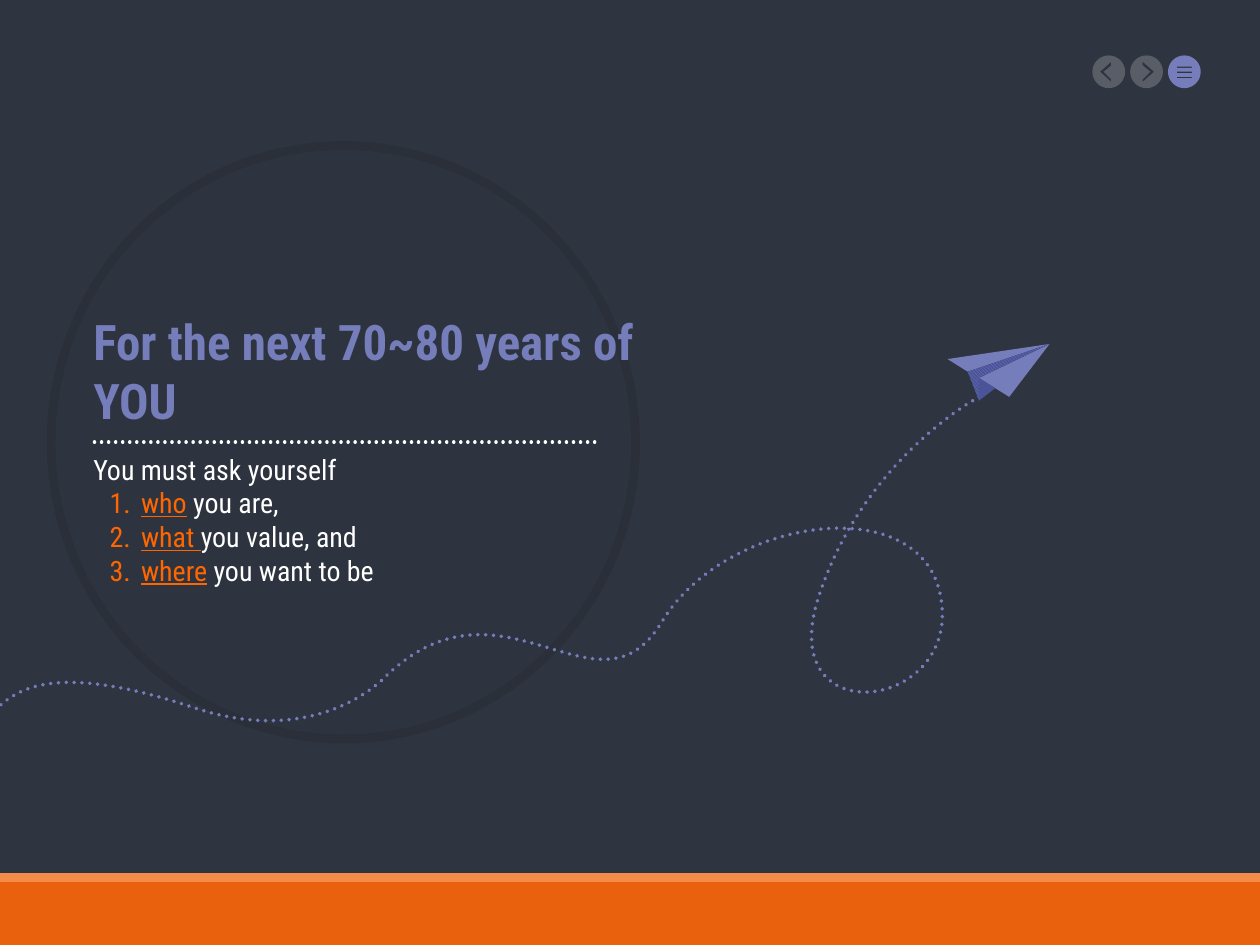
from dataclasses import dataclass
from typing import Any

from lxml.etree import SubElement
from pptx import Presentation
from pptx.dml.color import RGBColor as RGB
from pptx.enum.dml import MSO_LINE, MSO_PATTERN
from pptx.enum.shapes import MSO_CONNECTOR, MSO_SHAPE
from pptx.enum.text import MSO_ANCHOR, MSO_AUTO_SIZE, PP_ALIGN
from pptx.oxml.ns import qn
from pptx.util import Inches, Pt

Point = tuple[float, float]


@dataclass(frozen=True)
class Theme:
    font: str = "Roboto Condensed"
    back: RGB = RGB.from_string("2F3540")
    violet: RGB = RGB.from_string("757DBB")
    indigo: RGB = RGB.from_string("4B5499")
    white: RGB = RGB.from_string("FFFFFF")
    accent: RGB = RGB.from_string("FF6600")
    bar: RGB = RGB.from_string("E9610D")
    stripe: RGB = RGB.from_string("F58B49")
    title_size: Pt = Pt(28)
    body_size: Pt = Pt(16)


@dataclass(frozen=True)
class Contour:
    """A curved contour has a start, then three knots per cubic curve."""
    points: list[Point]
    curved: bool = False


@dataclass(frozen=True)
class NavButton:
    left: float
    color: RGB
    opacity: int
    icon: list[Contour]


@dataclass(frozen=True)
class Item:
    keyword: str
    rest: str


T = Theme()


def set_attrs(target: Any, values: dict[str, Any]) -> None:
    for name, value in values.items():
        setattr(target, name, value)


def paint(sp: Any, color: RGB, opacity: int = 100) -> None:
    """Plain fill without outline or shadow."""
    sp.shadow.inherit = False
    sp.line.fill.background()
    sp.fill.solid()
    sp.fill.fore_color.rgb = color
    if opacity < 100:
        clr = sp._element.spPr.find(qn("a:solidFill"))[0]
        SubElement(clr, qn("a:alpha"), val=str(opacity * 1000))


def dot_line(line: Any, color: RGB, width: float) -> None:
    line.color.rgb = color
    set_attrs(line, {"width": Pt(width), "dash_style": MSO_LINE.ROUND_DOT})
    line._get_or_add_ln().set("cap", "rnd")


def bend(sp: Any, contours: list[Contour]) -> None:
    """Turn each three line segments of a curved contour into one cubic curve."""
    outline = next(sp._element.iter(qn("a:path")))
    index, curve = -1, None
    for segment in list(outline):
        if segment.tag == qn("a:moveTo"):
            index, curve = index + 1, None
        elif segment.tag == qn("a:lnTo") and contours[index].curved:
            if curve is None or len(curve) == 3:
                curve = SubElement(outline, qn("a:cubicBezTo"))
                segment.addprevious(curve)
            curve.append(segment[0])
            outline.remove(segment)


def add_outline(shapes: Any, contours: list[Contour], close: bool = True) -> Any:
    builder = None
    for contour in contours:
        start, *rest = [(Inches(x), Inches(y)) for x, y in contour.points]
        if builder is None:
            builder = shapes.build_freeform(*start, scale=1.0)
        else:
            builder.move_to(*start)
        builder.add_line_segments(rest, close=close)
    sp = builder.convert_to_shape()
    bend(sp, contours)
    return sp


def add_block(shapes: Any, kind: Any, box: tuple, color: RGB, opacity: int = 100) -> Any:
    sp = shapes.add_shape(kind, *map(Inches, box))
    paint(sp, color, opacity)
    return sp


def circle(cx: float, cy: float, r: float) -> Contour:
    k = 0.55 * r
    offsets = [(0, -r), (k, -r), (r, -k), (r, 0), (r, k), (k, r), (0, r),
               (-k, r), (-r, k), (-r, 0), (-r, -k), (-k, -r), (0, -r)]
    return Contour([(cx + x, cy + y) for x, y in offsets], curved=True)


def place_text(sp: Any, box: tuple, anchor: Any) -> Any:
    set_attrs(sp, dict(zip(("left", "top", "width", "height"), map(Inches, box))))
    tf = sp.text_frame
    set_attrs(tf, {"margin_left": 0, "margin_right": 0, "margin_top": 0,
                   "margin_bottom": 0, "word_wrap": True,
                   "auto_size": MSO_AUTO_SIZE.NONE, "vertical_anchor": anchor})
    return tf


def add_run(p: Any, text: str, **font: Any) -> None:
    r = p.add_run()
    r.text = text
    r.font.color.rgb = font.pop("color")
    set_attrs(r.font, {"name": T.font, **font})


def format_paragraph(p: Any, numbered: bool) -> None:
    pPr = p._p.get_or_add_pPr()
    margin, indent = (0.38, -0.25) if numbered else (0, 0)
    pPr.set("marL", str(Inches(margin)))
    pPr.set("indent", str(Inches(indent)))
    if numbered:
        SubElement(pPr, qn("a:buFont"), typeface=T.font)
        SubElement(pPr, qn("a:buAutoNum"), type="arabicPeriod")
    else:
        SubElement(pPr, qn("a:buNone"))
    set_attrs(p, {"alignment": PP_ALIGN.JUSTIFY, "space_before": Pt(0)})


def main() -> None:
    prs = Presentation()
    prs.slide_width, prs.slide_height = Inches(10), Inches(7.5)
    s = prs.slides.add_slide(prs.slide_layouts[1])
    s.background.fill.solid()
    s.background.fill.fore_color.rgb = T.back
    shapes = s.shapes
    title, body = shapes.title, s.placeholders[1]

    # Navigation buttons with cut-out icons
    radius, mid = 0.13, 0.57
    back = [(8.82, 0.49), (8.73, mid), (8.82, 0.65), (8.82, 0.63), (8.76, mid), (8.82, 0.52)]
    forward = [(17.89 - x, y) for x, y in back]
    menu = [Contour([(9.34, y), (9.46, y), (9.46, y + 0.01), (9.34, y + 0.01)])
            for y in (0.53, 0.57, 0.61)]
    for b in (NavButton(9.27, T.violet, 100, menu),
              NavButton(8.97, T.white, 20, [Contour(forward)]),
              NavButton(8.67, T.white, 20, [Contour(back)])):
        disc = circle(b.left + radius, mid, radius)
        paint(add_outline(shapes, [*b.icon, disc]), b.color, b.opacity)

    # Footer bars
    add_block(shapes, MSO_SHAPE.RECTANGLE, (0, 7, 10, 0.5), T.bar)
    add_block(shapes, MSO_SHAPE.RECTANGLE, (0, 6.93, 10, 0.07), T.stripe)

    # Disc whose enlarged shadow shows as a ring
    disc = add_block(shapes, MSO_SHAPE.OVAL, (0.44, 1.19, 4.57, 4.64), T.back, 98)
    effects = disc._element.spPr.find(qn("a:effectLst"))
    shadow = SubElement(effects, qn("a:outerShdw"), sx="103000", sy="103000",
                        algn="ctr", rotWithShape="0")
    clr = SubElement(shadow, qn("a:srgbClr"), val="000000")
    SubElement(clr, qn("a:alpha"), val="10000")

    # Body and title, brought in front of the disc
    for sp in (body, title):
        shapes._spTree.append(sp._element)
    tf = place_text(body, (0.74, 3.59, 4.9, 0.81), MSO_ANCHOR.TOP)
    p = tf.paragraphs[0]
    format_paragraph(p, numbered=False)
    add_run(p, "You must ask yourself", size=T.body_size, color=T.white)
    for item in (Item("who", " you are,"), Item("what ", "you value, and"),
                 Item("where", " you want to be")):
        p = tf.add_paragraph()
        format_paragraph(p, numbered=True)
        add_run(p, item.keyword, size=T.body_size, color=T.accent, underline=True)
        add_run(p, item.rest, size=T.body_size, color=T.white)

    tf = place_text(title, (0.74, 2.47, 4.82, 0.94), MSO_ANCHOR.BOTTOM)
    tf.paragraphs[0].alignment = PP_ALIGN.LEFT
    add_run(tf.paragraphs[0], "For the next 70~80 years of YOU",
            size=T.title_size, color=T.violet, bold=True)

    # Dotted rule under the title
    rule = shapes.add_connector(MSO_CONNECTOR.STRAIGHT, *map(Inches, (0.75, 3.51, 4.77, 3.51)))
    dot_line(rule.line, T.white, 2)
    SubElement(rule._element.spPr, qn("a:effectLst"))

    # Flight trail
    knots = [(7.72, 3.18), (7.72, 3.18), (6.83, 3.68), (6.49, 4.76),
             (6.16, 5.83), (7.61, 5.64), (7.47, 4.76),
             (7.34, 3.87), (5.75, 4.1), (5.25, 4.94),
             (4.74, 5.77), (4, 4.48), (3.07, 5.36),
             (3.07, 5.36), (2.54, 5.96), (1.52, 5.61),
             (0.49, 5.27), (0.17, 5.45), (0, 5.6)]
    trail = add_outline(shapes, [Contour(knots, curved=True)], close=False)
    trail.shadow.inherit = False
    trail.fill.background()
    dot_line(trail.line, T.violet, 2.25)

    # Paper plane
    plane = shapes.add_group_shape().shapes
    nose, fold, keel, notch = (8.33, 2.73), (7.77, 3), (7.77, 3.18), (7.68, 2.95)
    facets = (([(7.52, 2.85), nose, notch], T.violet),
              ([nose, (8.01, 3.15), fold], T.violet),
              ([nose, fold, keel, notch], None),
              ([fold, (7.9, 3.08), keel], T.indigo))
    for points, color in facets:
        facet = add_outline(plane, [Contour(points)])
        paint(facet, color or T.indigo)
        if color is None:  # hatched inner side
            facet.fill.patterned()
            facet.fill.pattern = MSO_PATTERN.LIGHT_DOWNWARD_DIAGONAL
            facet.fill.fore_color.rgb = T.violet
            facet.fill.back_color.rgb = T.indigo

    prs.save("out.pptx")


if __name__ == "__main__":
    main()
